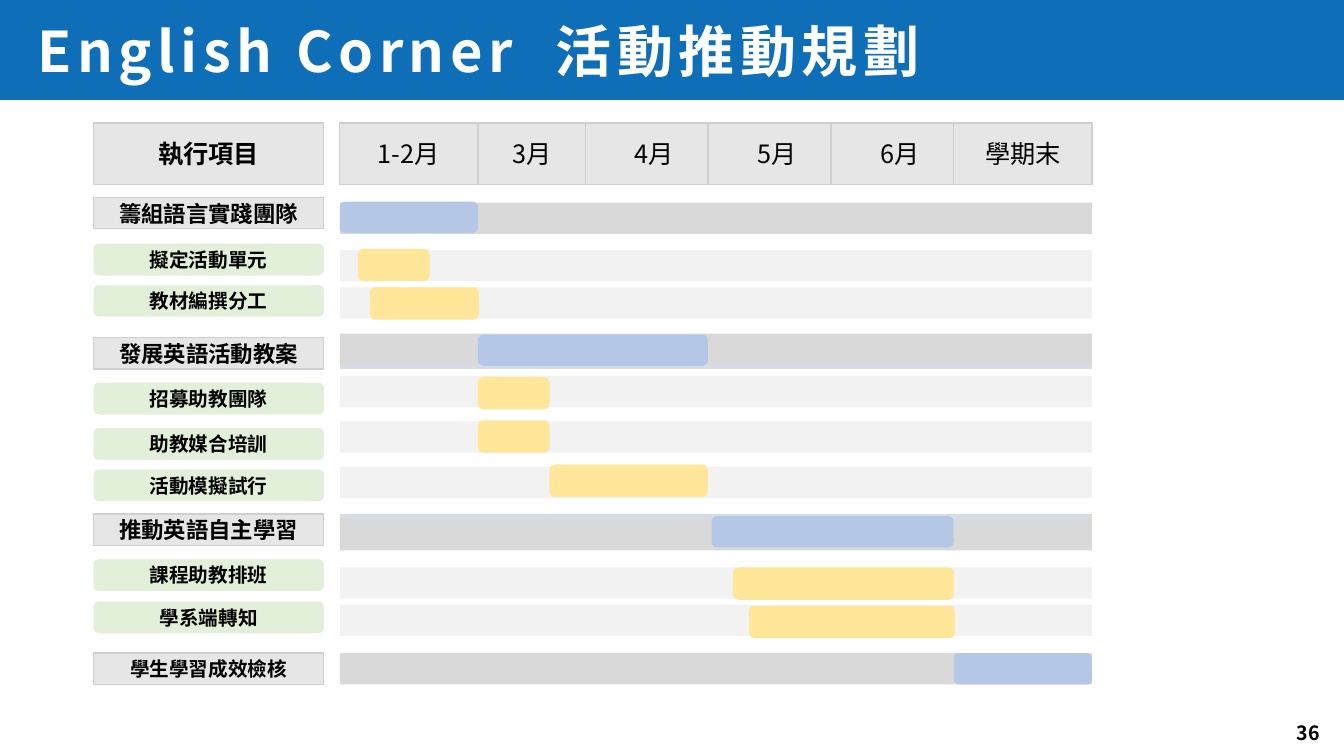
import dataclasses

import lxml.etree
import pptx
import pptx.dml.color
import pptx.enum.shapes
import pptx.enum.text
import pptx.oxml.ns
import pptx.util

Inches = pptx.util.Inches
Pt = pptx.util.Pt
Kind = pptx.enum.shapes.MSO_SHAPE
Align = pptx.enum.text.PP_ALIGN
Anchor = pptx.enum.text.MSO_ANCHOR


@dataclasses.dataclass(frozen=True)
class Theme:
    face: str = "Noto Sans CJK SC"
    banner: str = "0E6EB8"
    white: str = "FFFFFF"
    ink: str = "000000"
    head: str = "E7E6E6"
    edge: str = "D0CECE"
    step: str = "E2F0D9"
    under: str = "D6DCE5"
    stage: str = "D9D9D9"
    track: str = "F2F2F2"
    blue: str = "B4C7E7"
    gold: str = "FFE699"
    title: int = 40
    month: int = 18
    large: int = 16
    small: int = 14


def rgb(code):
    return pptx.dml.color.RGBColor.from_string(code)


class Board:
    def __init__(self, slide, theme):
        self.slide = slide
        self.theme = theme

    def words(self, para, text, size, color, bold=False, gap=0):
        """Add a run; gap is the letter spacing in points."""
        run = para.add_run()
        run.text = text
        style = {"name": self.theme.face, "size": Pt(size), "bold": bold}
        for key, value in style.items():
            setattr(run.font, key, value)
        run.font.color.rgb = rgb(color)
        props = run.font._element
        asian = lxml.etree.SubElement(props, pptx.oxml.ns.qn("a:ea"))
        asian.set("typeface", self.theme.face)
        if gap:
            props.set("spc", str(gap * 100))

    def block(self, kind, box, fill, line=None, width=1):
        shape = self.slide.shapes.add_shape(kind, *map(Inches, box))
        shape.shadow.inherit = False
        shape.fill.solid()
        shape.fill.fore_color.rgb = rgb(fill)
        if line:
            shape.line.color.rgb = rgb(line)
            shape.line.width = Pt(width)
        else:
            shape.line.fill.background()
        return shape

    def label(self, kind, box, text, size, fill, line, width=1, bold=True):
        shape = self.block(kind, box, fill, line, width)
        shape.text_frame.vertical_anchor = Anchor.MIDDLE
        para = shape.text_frame.paragraphs[0]
        para.alignment = Align.CENTER
        self.words(para, text, size, self.theme.ink, bold)

    def title(self, box, parts):
        """Fill the title with (text, letter spacing) parts."""
        shape = self.slide.shapes.title
        place = dict(zip(("left", "top", "width", "height"), map(Inches, box)))
        for key, value in place.items():
            setattr(shape, key, value)
        frame = shape.text_frame
        style = {"word_wrap": False, "vertical_anchor": Anchor.MIDDLE,
                 "auto_size": pptx.enum.text.MSO_AUTO_SIZE.NONE}
        for key, value in style.items():
            setattr(frame, key, value)
        para = frame.paragraphs[0]
        para.alignment = Align.LEFT
        for text, gap in parts:
            self.words(para, text, self.theme.title, self.theme.white, True, gap)

    def banner(self, box):
        """Draw the title band behind everything else."""
        shape = self.block(Kind.RECTANGLE, box, self.theme.banner)
        self.slide.shapes._spTree.insert(2, shape._element)

    def note(self, box, text):
        frame = self.slide.shapes.add_textbox(*map(Inches, box)).text_frame
        frame.word_wrap = True
        self.words(frame.paragraphs[0], text, self.theme.small, self.theme.ink, True)


SIDE, SPAN = 0.93, 2.28
LEFT, WIDTH = 3.37, 7.46
MONTH = 1.37
HIGH = 0.31
MONTHS = ["1-2月", "3月", "4月", "5月", "6月", "學期末"]
STEP = (WIDTH - MONTH) / (len(MONTHS) - 1)

# label, is stage, label top, track top, bar left, bar top, bar width
ROWS = [
    ("籌組語言實踐團隊", True, 1.96, 2.01, 3.37, 2.0, 1.37),
    ("擬定活動單元", False, 2.42, 2.48, 3.55, 2.47, 0.71),
    ("教材編撰分工", False, 2.83, 2.85, 3.67, 2.85, 1.08),
    ("發展英語活動教案", True, 3.35, 3.31, 4.74, 3.32, 2.28),
    ("招募助教團隊", False, 3.8, 3.73, 4.74, 3.74, 0.71),
    ("助教媒合培訓", False, 4.25, 4.18, 4.74, 4.17, 0.71),
    ("活動模擬試行", False, 4.66, 4.63, 5.45, 4.61, 1.57),
    ("推動英語自主學習", True, 5.1, 5.15, 7.06, 5.12, 2.4),
    ("課程助教排班", False, 5.55, 5.63, 7.27, 5.63, 2.19),
    ("學系端轉知", False, 5.97, 6.0, 7.43, 6.01, 2.04),
    ("學生學習成效檢核", True, 6.48, 6.48, 9.46, 6.48, 1.37),
]


def main():
    deck = pptx.Presentation()
    deck.slide_width, deck.slide_height = Inches(13.33), Inches(7.5)
    theme = Theme()
    board = Board(deck.slides.add_slide(deck.slide_layouts[5]), theme)

    board.banner((0, 0, 13.33, 0.99))
    board.title((0.27, 0.11, 9.24, 0.77),
                [("English Corner", 4), (" ", 17), ("活動推動規劃", 4)])
    board.note((12.76, 7.1, 0.45, 0.4), "36")

    board.label(Kind.RECTANGLE, (SIDE, 1.22, SPAN, 0.61), "執行項目",
                theme.month, theme.head, theme.edge)
    # The first month overlaps the second, so it is drawn after it.
    for col in (1, 0, 2, 3, 4, 5):
        board.label(Kind.RECTANGLE, (LEFT + col * STEP, 1.22, MONTH, 0.61),
                    MONTHS[col], theme.month, theme.head, theme.edge, bold=False)

    for top in (3.35, 5.1):
        board.block(Kind.RECTANGLE, (LEFT, top, WIDTH, HIGH), theme.under)

    for text, stage, top, track, left, bar, width in ROWS:
        box = (SIDE, top, SPAN, HIGH)
        if stage:
            size = theme.small if text == ROWS[-1][0] else theme.large
            board.label(Kind.RECTANGLE, box, text, size, theme.head, theme.edge)
        else:
            board.label(Kind.ROUNDED_RECTANGLE, box, text, theme.small,
                        theme.step, theme.head, 0.25)
        board.block(Kind.RECTANGLE, (LEFT, track, WIDTH, HIGH),
                    theme.stage if stage else theme.track)
        board.block(Kind.ROUNDED_RECTANGLE,
                    (left, bar, width, HIGH if stage else 0.32),
                    theme.blue if stage else theme.gold)

    deck.save("out.pptx")


if __name__ == "__main__":
    main()
